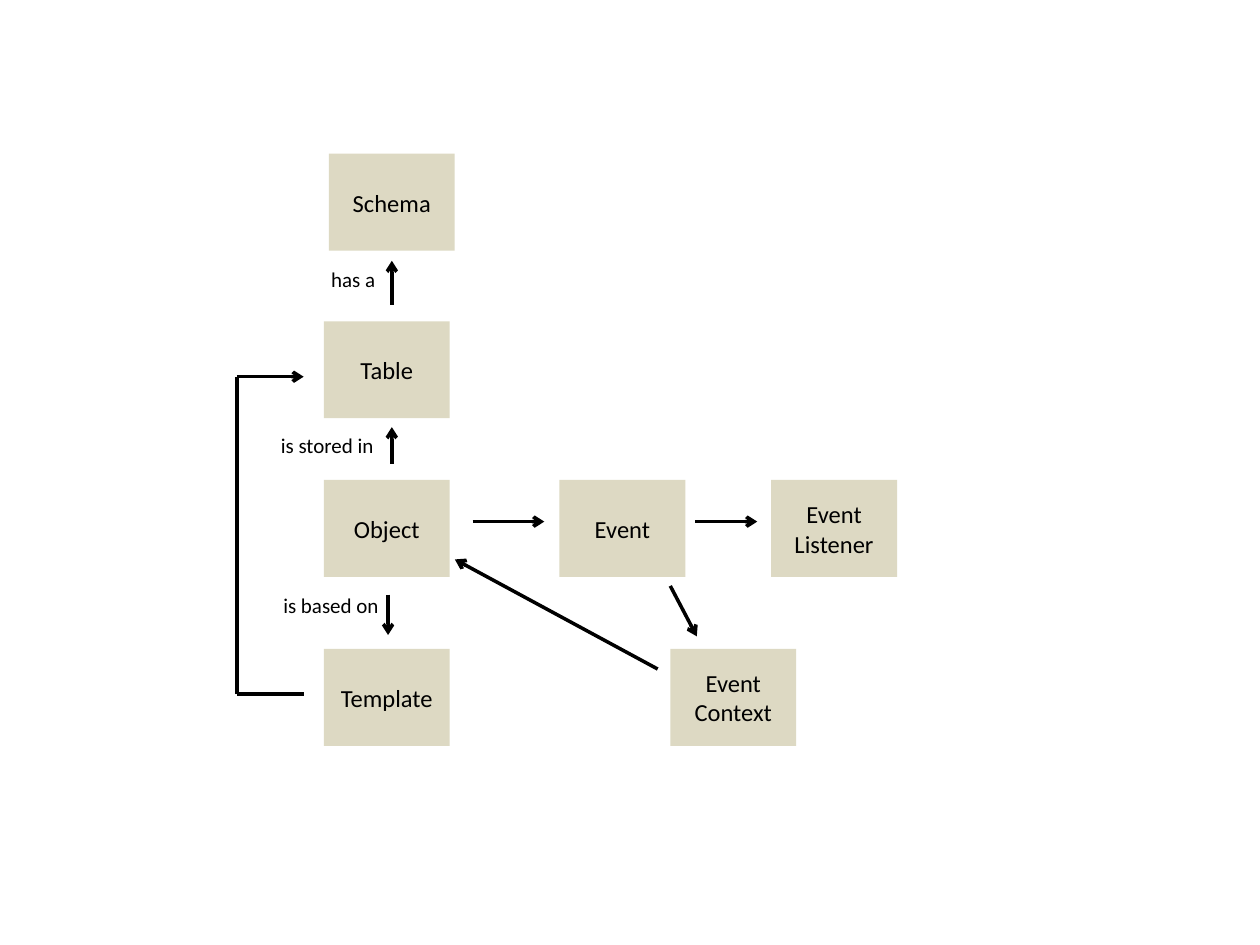
from lxml import etree
from pptx import Presentation
from pptx.dml.color import RGBColor
from pptx.enum.shapes import MSO_CONNECTOR, MSO_SHAPE
from pptx.enum.text import MSO_ANCHOR, MSO_AUTO_SIZE, PP_ALIGN
from pptx.oxml.ns import qn
from pptx.util import Inches, Pt

RECT = MSO_SHAPE.RECTANGLE
LINE = MSO_CONNECTOR.STRAIGHT
LEFT, CENTER = PP_ALIGN.LEFT, PP_ALIGN.CENTER
MIDDLE = MSO_ANCHOR.MIDDLE
FIT = MSO_AUTO_SIZE.SHAPE_TO_FIT_TEXT

COLORS = {"box": "DDD9C3", "ink": "000000"}
FONT = "Calibri"
BOX_W, BOX_H = 1, 0.77
LABEL_H = 0.3

# Left edges of the main column and tops of the shared rows
COL = 2.57
MID, LOW = 3.81, 5.15
# Axes that the arrows run along
UP, FLOW = 3.11, 4.14
LOOP_X, LOOP_END, LOOP_TOP, LOOP_LOW = 1.88, 2.41, 2.99, 5.51

# Boxes: lines of text, left, top
BOXES = [
    (["Schema"], 2.61, 1.22),
    (["Table"], COL, 2.55),
    (["Object"], COL, MID),
    (["Template"], COL, LOW),
    (["Event"], 4.44, MID),
    (["Event", "Listener"], 6.12, MID),
    (["Event", "Context"], 5.32, LOW),
]

# Labels: text, left, top, width
LABELS = [
    ("has a", 2.53, 2.07, 0.56),
    ("is stored in", 2.13, 3.38, 0.95),
    ("is based on", 2.15, 4.65, 0.97),
]

# Lines: start, end, arrowhead at the end
LINES = [
    ((UP, 2.42), (UP, 2.07), True),
    ((UP, 3.68), (UP, 3.39), True),
    ((3.08, 4.72), (3.08, 5.04), True),
    ((3.75, FLOW), (4.32, FLOW), True),
    ((5.52, FLOW), (6.01, FLOW), True),
    ((5.32, 4.65), (5.53, 5.05), True),
    ((5.22, 5.31), (3.61, 4.44), True),
    ((LOOP_END, LOOP_LOW), (LOOP_X, LOOP_LOW), False),
    ((LOOP_X, LOOP_LOW), (LOOP_X, LOOP_TOP), False),
    ((LOOP_X, LOOP_TOP), (LOOP_END, LOOP_TOP), True),
]


def color(name):
    return RGBColor.from_string(COLORS[name])


def write(frame, lines, size=14, align=LEFT):
    for i, line in enumerate(lines):
        para = frame.paragraphs[0] if i == 0 else frame.add_paragraph()
        para.alignment = align
        run = para.add_run()
        run.text = line
        run.font.name = FONT
        run.font.size = Pt(size)
        run.font.color.rgb = color("ink")


def add_box(slide, lines, left, top):
    box = slide.shapes.add_shape(
        RECT, Inches(left), Inches(top), Inches(BOX_W), Inches(BOX_H))
    box.shadow.inherit = False
    box.fill.solid()
    box.fill.fore_color.rgb = color("box")
    box.line.fill.background()
    frame = box.text_frame
    frame.margin_left = frame.margin_right = 0
    frame.margin_top = frame.margin_bottom = 0
    frame.vertical_anchor = MIDDLE
    write(frame, lines, align=CENTER)


def add_label(slide, text, left, top, width):
    box = slide.shapes.add_textbox(
        Inches(left), Inches(top), Inches(width), Inches(LABEL_H))
    box.text_frame.word_wrap = False
    box.text_frame.auto_size = FIT
    write(box.text_frame, [text], size=12)


def add_line(slide, start, end, head):
    points = [Inches(n) for n in start + end]
    line = slide.shapes.add_connector(LINE, *points)
    line.line.color.rgb = color("ink")
    line.line.width = Pt(2)
    if head:
        etree.SubElement(line.line._get_or_add_ln(), qn("a:tailEnd"), type="arrow")
    etree.SubElement(line._element.spPr, qn("a:effectLst"))


def main():
    deck = Presentation()
    deck.slide_width, deck.slide_height = Inches(10), Inches(7.5)
    slide = deck.slides.add_slide(deck.slide_layouts[6])
    for item in BOXES:
        add_box(slide, *item)
    for item in LABELS:
        add_label(slide, *item)
    for item in LINES:
        add_line(slide, *item)
    deck.save("out.pptx")


if __name__ == "__main__":
    main()
